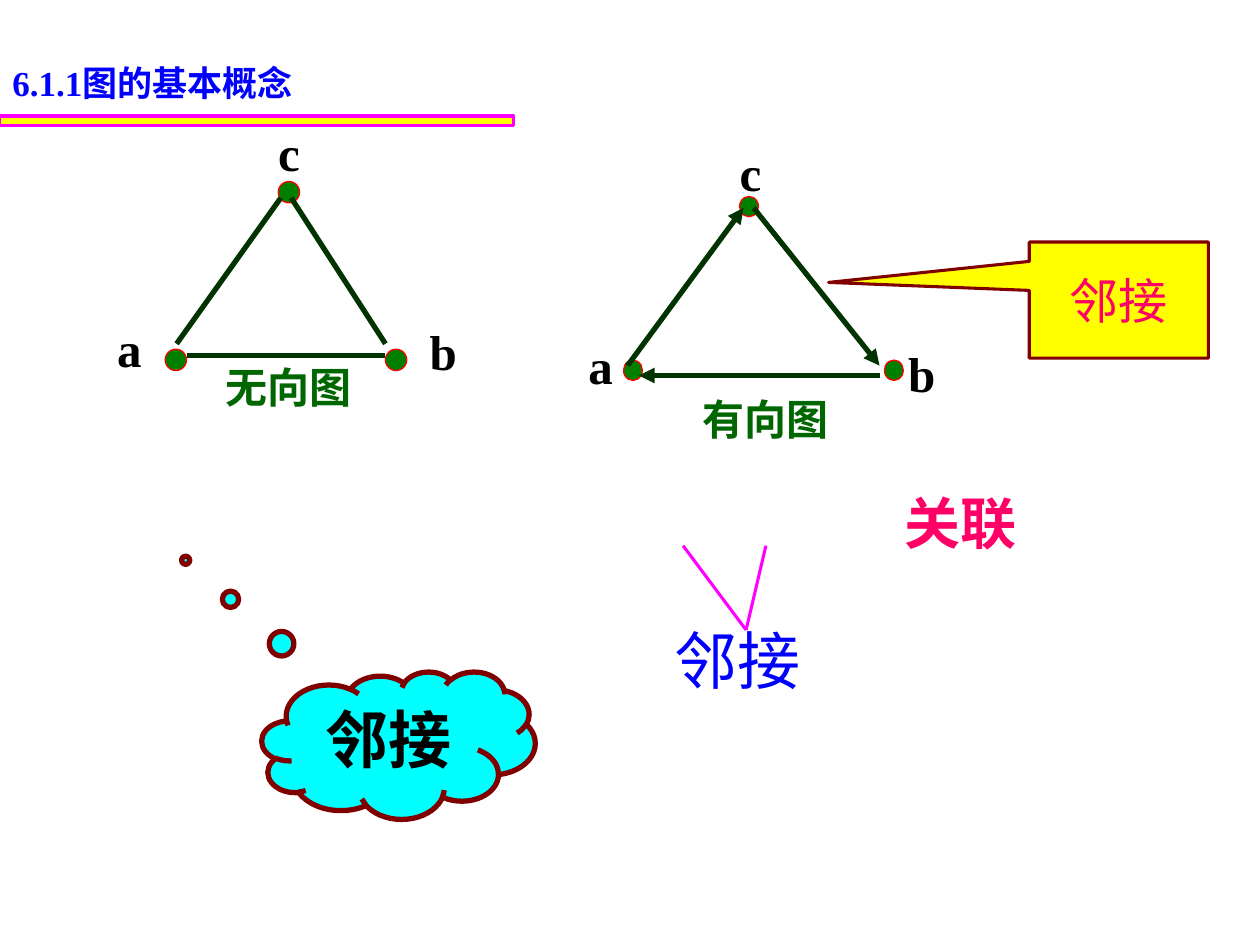
import pptx
import pptx.util
import pptx.dml.color
import pptx.enum.shapes
import pptx.enum.text
import pptx.oxml.ns
from lxml import etree

Cm, Pt = pptx.util.Cm, pptx.util.Pt
KIND = pptx.enum.shapes.MSO_SHAPE
ROMAN, SANS = "Times New Roman", "Arial"

GRAPHS = [
    {
        "names": [("c", 5.36, 2.34, 0.94), ("a", 2.11, 6.3, 1.02), ("b", 8.41, 6.35, 1.07)],
        "size": (0.43, 0.43),
        "dots": [(7.77, 7.04), (3.33, 7.04), (5.61, 3.66)],
        "edges": [(3.56, 6.93, 5.66, 3.99), (5.87, 3.99, 7.77, 6.93), (3.76, 7.16, 7.77, 7.16)],
        "arrow": False,
        "title": ("无向图", (4.29, 7.16, 5.66, 1.27)),
    },
    {
        "names": [("c", 14.66, 2.74, 0.94), ("a", 11.61, 6.63, 1.02), ("b", 18.06, 6.81, 0.99)],
        "size": (0.38, 0.41),
        "dots": [(17.83, 7.26), (12.57, 7.26), (14.91, 3.96)],
        "edges": [(12.65, 7.37, 14.99, 4.19), (15.19, 4.19, 17.73, 7.37), (17.73, 7.57, 12.88, 7.57)],
        "arrow": True,
        "title": ("有向图", (13.92, 7.8, 5.13, 1.27)),
    },
]
HEAD = [("6.1.1", 20, ROMAN, "0000FF", True), ("图的基本概念", 20, SANS, "0000FF", True)]
NOTES = [
    ((17.98, 9.73, 4.7, 1.6), [("关联", 32, SANS, "FF0066", True)]),
    ((13.34, 12.4, 4.06, 1.78), [("邻接", 36, SANS, "0000FF", False)]),
    ((0, 1.12, 8.94, 1.09), HEAD),
]
CALLS = [
    (KIND.CLOUD_CALLOUT, (5.28, 13.54, 5.51, 2.97), (-0.779, -1.256), "00FFFF", 3,
     "TOP", ("邻接", 36, SANS, "000000", True)),
    (KIND.RECTANGULAR_CALLOUT, (20.75, 4.88, 3.61, 2.34), (-1.621, -0.152), "FFFF00", 1.75,
     "MIDDLE", ("邻接", 28, SANS, "FF0066", False)),
]
TIP = (15.04, 12.7)
STARTS = [(13.77, 11), (15.44, 11)]


def color(text):
    return pptx.dml.color.RGBColor.from_string(text)


def write(frame, runs, wrap=True):
    frame.word_wrap = wrap
    para = frame.paragraphs[0]
    for text, size, face, tint, bold in runs:
        run = para.add_run()
        run.text = text
        font = run.font
        font.size, font.name, font.bold = Pt(size), face, bold
        font.color.rgb = color(tint)
    return para


def label(box, runs, wrap=True):
    write(shapes.add_textbox(*map(Cm, box)).text_frame, runs, wrap)


def draw(kind, box, fill, edge, width):
    shape = shapes.add_shape(kind, *map(Cm, box))
    shape.shadow.inherit = False
    shape.fill.solid()
    shape.fill.fore_color.rgb = color(fill)
    shape.line.color.rgb = color(edge)
    shape.line.width = Pt(width)
    return shape


def link(ends, tint, width, arrow=False):
    line = shapes.add_connector(pptx.enum.shapes.MSO_CONNECTOR.STRAIGHT, *map(Cm, ends))
    line.line.color.rgb = color(tint)
    line.line.width = Pt(width)
    qn = pptx.oxml.ns.qn
    props = line.element.find(qn("p:spPr"))
    if arrow:
        etree.SubElement(props.find(qn("a:ln")), qn("a:tailEnd"), type="triangle")
    etree.SubElement(props, qn("a:effectLst"))


deck = pptx.Presentation()
deck.slide_width, deck.slide_height = Cm(25.4), Cm(19.05)
shapes = deck.slides.add_slide(deck.slide_layouts[6]).shapes

draw(KIND.RECTANGLE, (0, 2.34, 10.36, 0.2), "FFFF00", "FF00FF", 1.75)

for graph in GRAPHS:
    for name, left, top, width in graph["names"]:
        label((left, top, width, 1.45), [(name, 28, ROMAN, "000000", True)], False)
    for spot in graph["dots"]:
        draw(KIND.OVAL, spot + graph["size"], "008000", "FF0000", 0.75)
    for ends in graph["edges"]:
        link(ends, "003300", 3, graph["arrow"])
    text, box = graph["title"]
    label(box, [(text, 24, SANS, "006600", True)])

for box, runs in NOTES:
    label(box, runs)

for start in STARTS:
    link(start + TIP, "FF00FF", 1.75)

for kind, box, tail, fill, width, anchor, run in CALLS:
    shape = draw(kind, box, fill, "800000", width)
    shape.adjustments[0], shape.adjustments[1] = tail
    shape.text_frame.vertical_anchor = pptx.enum.text.MSO_ANCHOR[anchor]
    write(shape.text_frame, [run]).alignment = pptx.enum.text.PP_ALIGN.CENTER

deck.save("out.pptx")
